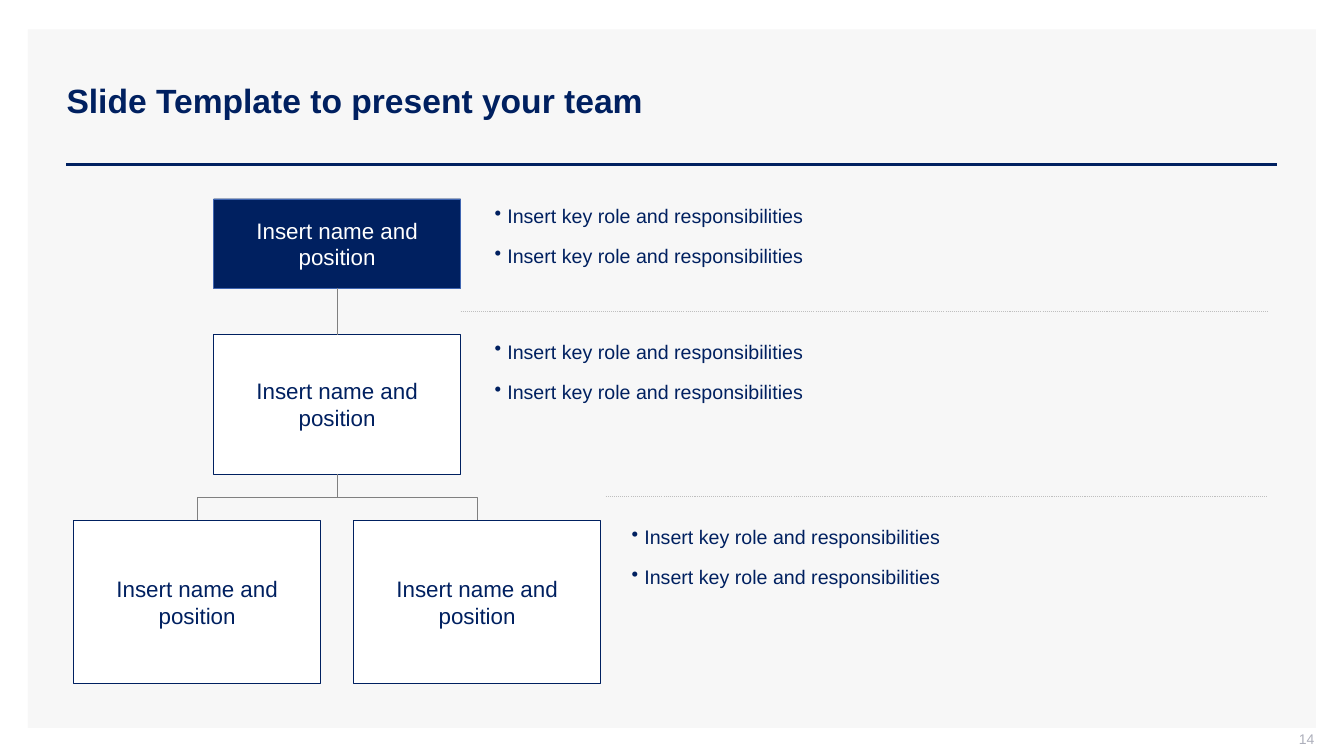
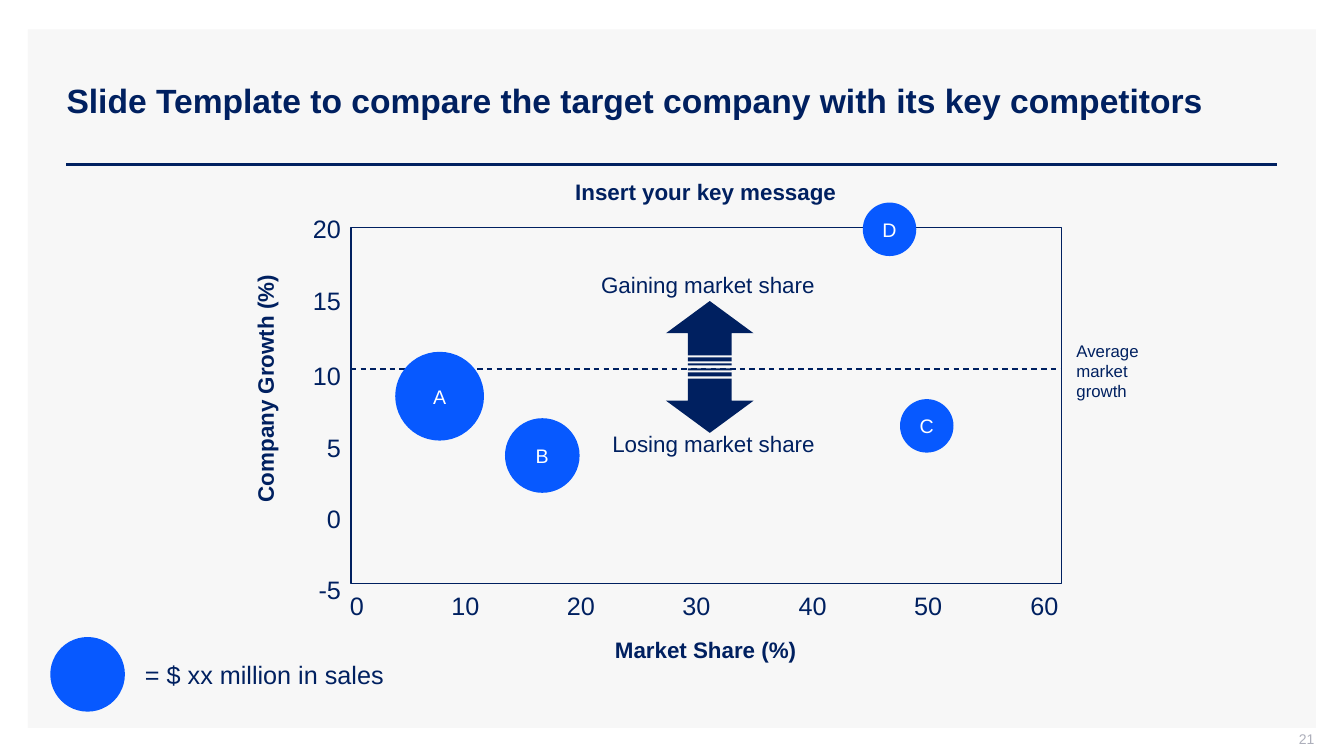
from lxml.etree import SubElement
from pptx import Presentation
from pptx.dml.color import RGBColor
from pptx.enum.dml import MSO_LINE as DASH
from pptx.enum.shapes import MSO_CONNECTOR as CONN, MSO_SHAPE as SHAPE
from pptx.enum.text import MSO_ANCHOR as ANCHOR, MSO_AUTO_SIZE as FIT, PP_ALIGN as ALIGN
from pptx.oxml.ns import qn
from pptx.util import Pt

COLORS = {
    "navy": "002060",
    "blue": "0759FF",
    "edge": "4066B2",
    "white": "FFFFFF",
    "panel": "F7F7F7",
    "link": "808080",
    "dots": "BFBFBF",
    "page": "ADAFBB",
}
FONT = "Arial"


def rgb(name):
    return RGBColor.from_string(COLORS[name])


class Deck:
    """Holds the presentation, its style and the current slide."""

    def __init__(self):
        self.prs = Presentation()
        self.prs.slide_width, self.prs.slide_height = Pt(960), Pt(540)
        self.shapes = None

    def slide(self, title, page):
        """Start a slide with the shared panel, rule, title and page number."""
        self.shapes = self.prs.slides.add_slide(self.prs.slide_layouts[5]).shapes
        self.shape(SHAPE.RECTANGLE, 20, 21, 920, 499, "panel")
        self.line(47.5, 117.5, 912, 117.5, "navy", 2)
        sp = self.shapes.title
        self.shapes.element.append(sp.element)  # bring in front of the panel
        sp.left, sp.top, sp.width, sp.height = Pt(40.3), Pt(29), Pt(872), Pt(85.5)
        sp.text_frame.auto_size = FIT.NONE
        self.fill_text(sp, [title], 24, bold=True, anchor=ANCHOR.MIDDLE)
        self.text(730, 517, 216, 21.6, [page], 10, "page", ALIGN.RIGHT, anchor=ANCHOR.MIDDLE)

    def fill_text(self, sp, lines, size, color="navy", align=ALIGN.LEFT, bold=False,
                  anchor=ANCHOR.TOP, bullets=False, wrap=True):
        tf = sp.text_frame
        tf.word_wrap, tf.vertical_anchor = wrap, anchor
        for i, line in enumerate(lines):
            p = tf.add_paragraph() if i else tf.paragraphs[0]
            p.alignment = align
            if bullets:
                pPr = p._p.get_or_add_pPr()
                pPr.set("marL", str(Pt(9)))
                pPr.set("indent", str(-Pt(9)))
                SubElement(pPr, qn("a:buChar")).set("char", "•")
                p.space_after = Pt(6)
                if i:
                    p.space_before = Pt(6)
            r = p.add_run()
            r.text = line
            r.font.name, r.font.size, r.font.bold = FONT, Pt(size), bold
            r.font.color.rgb = rgb(color)

    def text(self, x, y, w, h, lines, size, color="navy", align=ALIGN.LEFT, **style):
        sp = self.shapes.add_textbox(Pt(x), Pt(y), Pt(w), Pt(h))
        self.fill_text(sp, lines, size, color, align, **style)
        return sp

    def shape(self, kind, x, y, w, h, fill=None, edge=None, weight=0.25):
        sp = self.shapes.add_shape(kind, Pt(x), Pt(y), Pt(w), Pt(h))
        sp.shadow.inherit = False
        if fill:
            sp.fill.solid()
            sp.fill.fore_color.rgb = rgb(fill)
        else:
            sp.fill.background()
        if edge:
            sp.line.color.rgb, sp.line.width = rgb(edge), Pt(weight)
        else:
            sp.line.fill.background()
        return sp

    def line(self, x1, y1, x2, y2, color, weight, dash=None, kind=CONN.STRAIGHT):
        c = self.shapes.add_connector(kind, Pt(x1), Pt(y1), Pt(x2), Pt(y2))
        c.line.color.rgb, c.line.width = rgb(color), Pt(weight)
        if dash:
            c.line.dash_style = dash
        SubElement(c.element.spPr, qn("a:effectLst"))
        return c

    def elbow(self, x1, y1, x2, y2, color, weight):
        """Connector that runs down, across and down again."""
        cx, cy = (x1 + x2) / 2, (y1 + y2) / 2
        half_run = abs(x2 - x1) / 2
        half_drop = (y2 - y1) / 2 * (1 if x2 < x1 else -1)
        c = self.line(cx - half_drop, cy - half_run, cx + half_drop, cy + half_run,
                      color, weight, kind=CONN.ELBOW)
        c.element.spPr.xfrm.set("rot", str((90 if x2 < x1 else 270) * 60000))

    def bubble(self, cx, cy, d, label=None):
        sp = self.shape(SHAPE.OVAL, cx - d / 2, cy - d / 2, d, d, "blue")
        if label:
            self.fill_text(sp, [label], 14, "white", ALIGN.CENTER,
                           anchor=ANCHOR.MIDDLE, wrap=False)


def team_slide(deck):
    deck.slide("Slide Template to present your team", "14")
    trunk, box_w, gap, right = 240.8, 176.4, 33, 905.8
    root_y, root_h, lead_h, member_h = 142, 64, 99.5, 116.6
    lead_y = root_y + root_h + gap
    lead_bottom = lead_y + lead_h
    member_y = lead_bottom + gap

    def position(cx, y, h, fill="white", edge="navy", color="navy"):
        sp = deck.shape(SHAPE.RECTANGLE, cx - box_w / 2, y, box_w, h, fill, edge)
        deck.fill_text(sp, ["Insert name and position"], 16, color, ALIGN.CENTER,
                       anchor=ANCHOR.MIDDLE)
        return sp

    root = position(trunk, root_y, root_h, "navy", "edge", "white")
    lead = position(trunk, lead_y, lead_h)
    link = deck.line(trunk, root_y + root_h, trunk, lead_y, "link", 0.25)
    link.begin_connect(root, 2)
    link.end_connect(lead, 0)
    for cx in (trunk - 100, trunk + 100):
        position(cx, member_y, member_h)
        deck.elbow(trunk, lead_bottom, cx, member_y, "link", 0.25)

    for x, y in ((trunk + box_w / 2, lead_y), (432.7, member_y)):
        deck.line(x, y - gap / 2, right, y - gap / 2, "dots", 0.75, DASH.ROUND_DOT)
    for x, y in ((346.3, root_y), (346.3, lead_y), (444.2, member_y)):
        deck.text(x, y, right - x, 53.3, ["Insert key role and responsibilities"] * 2, 14,
                  bullets=True)


def competitor_slide(deck):
    deck.slide("Slide Template to compare the target company with its key competitors", "21")
    left, top, w, h = 250.6, 162.7, 507.6, 254.2
    deck.shape(SHAPE.RECTANGLE, left, top, w, h, edge="navy", weight=1)
    deck.line(left, 263.5, left + w, 263.5, "navy", 1, DASH.DASH)

    for value, y in zip(range(20, -6, -5), (149, 200, 254, 305, 356, 407)):
        deck.text(left - 50, y, 50, 29, [str(value)], 18, align=ALIGN.RIGHT)
    for value, cx in zip(range(0, 61, 10), (255, 332.5, 415, 497.5, 580.5, 663, 746)):
        deck.text(cx - 25, 418.3, 50, 29, [str(value)], 18, align=ALIGN.CENTER)

    heading = {"size": 16, "align": ALIGN.CENTER, "bold": True}
    deck.text(365.8, 123.8, 276.5, 26.6, ["Insert your key message"],
              anchor=ANCHOR.MIDDLE, **heading)
    deck.text(414, 450.7, 180, 26.6, ["Market Share (%)"], **heading)
    growth = deck.text(89.4, 264.3, 200, 26.6, ["Company Growth (%)"], **heading)
    growth.rotation = 270

    for y, label in ((190, "Gaining market share"), (304, "Losing market share")):
        deck.text(389, y, 200, 26.6, [label], 16, align=ALIGN.RIGHT)
    deck.text(761.8, 239.8, 70, 51, ["Average", "market", "growth"], 12)

    arrow_w, arrow_h = 46, 62.6
    for cy, angle in ((238, 270), (286.2, 90)):
        arrow = deck.shape(SHAPE.STRIPED_RIGHT_ARROW, 507 - arrow_w / 2, cy - arrow_h / 2,
                           arrow_w, arrow_h, "navy")
        arrow.rotation = angle

    for cx, cy, d, label in ((314, 283, 63.4, "A"), (387.4, 325.4, 53.3, "B"),
                             (662, 304.2, 38.2, "C"), (635.4, 163.8, 38.2, "D")):
        deck.bubble(cx, cy, d, label)
    deck.bubble(62.6, 481.7, 53.3)
    deck.text(96.5, 467.3, 200, 29, ["= $ xx million in sales"], 18)


def main():
    deck = Deck()
    team_slide(deck)
    competitor_slide(deck)
    deck.prs.save("out.pptx")


if __name__ == "__main__":
    main()
